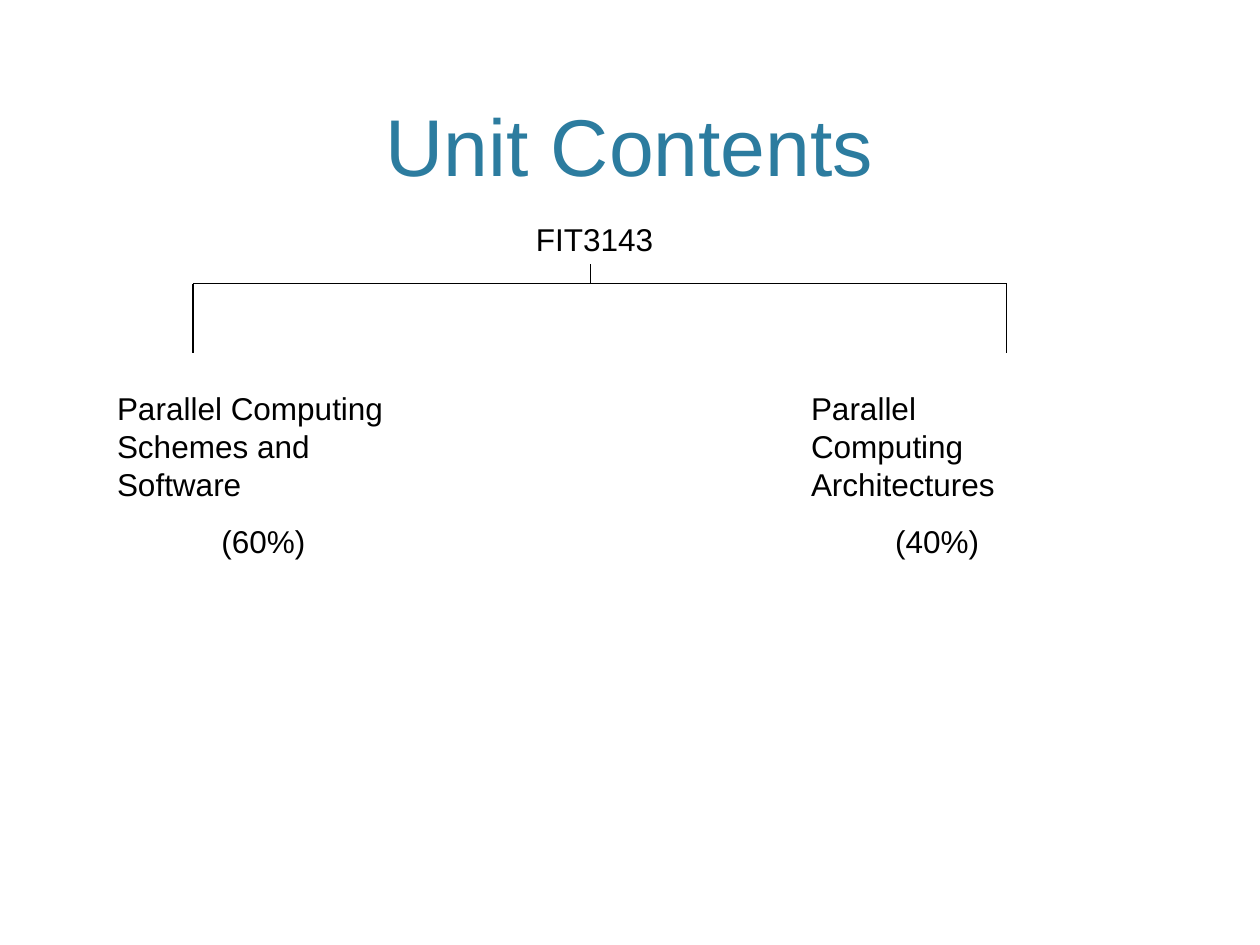
from pptx import Presentation
from pptx.dml.color import RGBColor
from pptx.enum.shapes import MSO_CONNECTOR
from pptx.enum.text import MSO_ANCHOR, MSO_AUTO_SIZE, PP_ALIGN
from pptx.oxml.ns import qn
from pptx.util import Cm, Pt
from lxml.etree import SubElement


def rgb(value):
    return RGBColor.from_string(value)


def write(p, text, size, color, **paragraph_format):
    for name, value in paragraph_format.items():
        setattr(p, name, value)
    r = p.add_run()
    r.text = text
    for name, value in {"name": "Arial", "size": Pt(size)}.items():
        setattr(r.font, name, value)
    r.font.color.rgb = rgb(color)


prs = Presentation()
prs.slide_width, prs.slide_height = Cm(25.4), Cm(19.05)
s = prs.slides.add_slide(prs.slide_layouts[5])

title = s.shapes.title
title_box = {"left": 1.52, "top": 0.3, "width": 22.33, "height": 3.71}
for name, value in title_box.items():
    setattr(title, name, Cm(value))
tf = title.text_frame
title_format = {"vertical_anchor": MSO_ANCHOR.BOTTOM, "auto_size": MSO_AUTO_SIZE.NONE, "word_wrap": True}
for name, value in title_format.items():
    setattr(tf, name, value)
write(tf.paragraphs[0], "Unit Contents", 46, "2C7C9F", alignment=PP_ALIGN.CENTER)

left_x, root_x, right_x = 3.89, 11.91, 20.29
root_y, bar_y, branch_y = 5.33, 5.72, 7.12
lines = [
    (left_x, bar_y, right_x, bar_y),
    (left_x, bar_y, left_x, branch_y),
    (right_x, bar_y, right_x, branch_y),
    (root_x, bar_y, root_x, root_y),
]
for ends in lines:
    sp = s.shapes.add_connector(MSO_CONNECTOR.STRAIGHT, *[Cm(v) for v in ends])
    sp.line.color.rgb = rgb("000000")
    sp.line.width = Pt(0.75)
    SubElement(sp._element.spPr, qn("a:effectLst"))

LEFT, CENTER = PP_ALIGN.LEFT, PP_ALIGN.CENTER
labels = [
    ((9.09, 4.32, 5.79, 1.02), [("FIT3143", CENTER)]),
    ((2.11, 7.72, 6.4, 3.71), [("Parallel Computing Schemes and Software", LEFT), ("(60%)", CENTER)]),
    ((16.1, 7.72, 5.59, 3.71), [("Parallel Computing Architectures", LEFT), ("(40%)", CENTER)]),
]
for box, paragraphs in labels:
    sp = s.shapes.add_textbox(*[Cm(v) for v in box])
    tf = sp.text_frame
    tf.word_wrap = True
    tf.auto_size = MSO_AUTO_SIZE.SHAPE_TO_FIT_TEXT
    for i, (text, alignment) in enumerate(paragraphs):
        p = tf.add_paragraph() if i else tf.paragraphs[0]
        write(p, text, 18, "000000", alignment=alignment, space_before=Pt(11.2))

prs.save("out.pptx")
